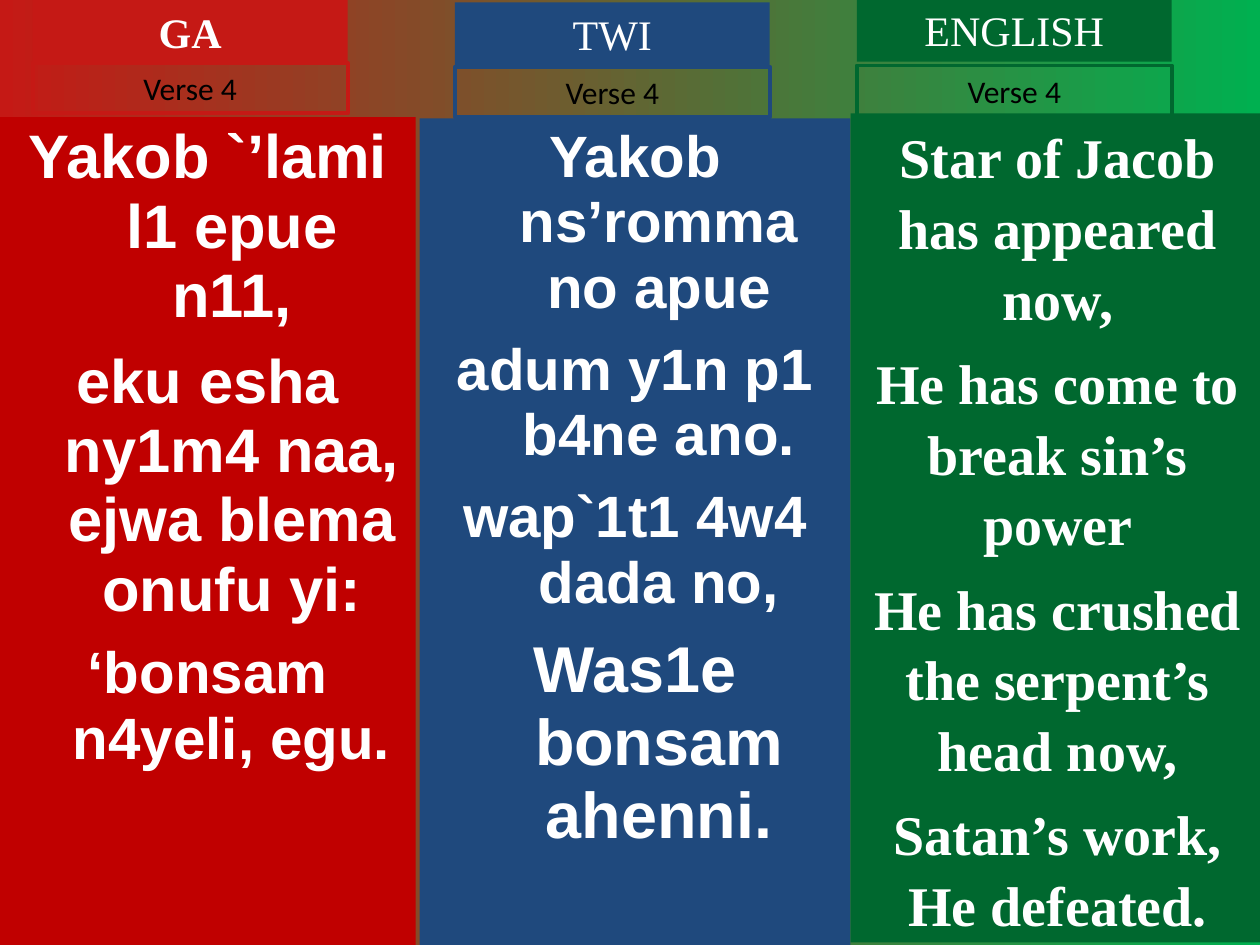
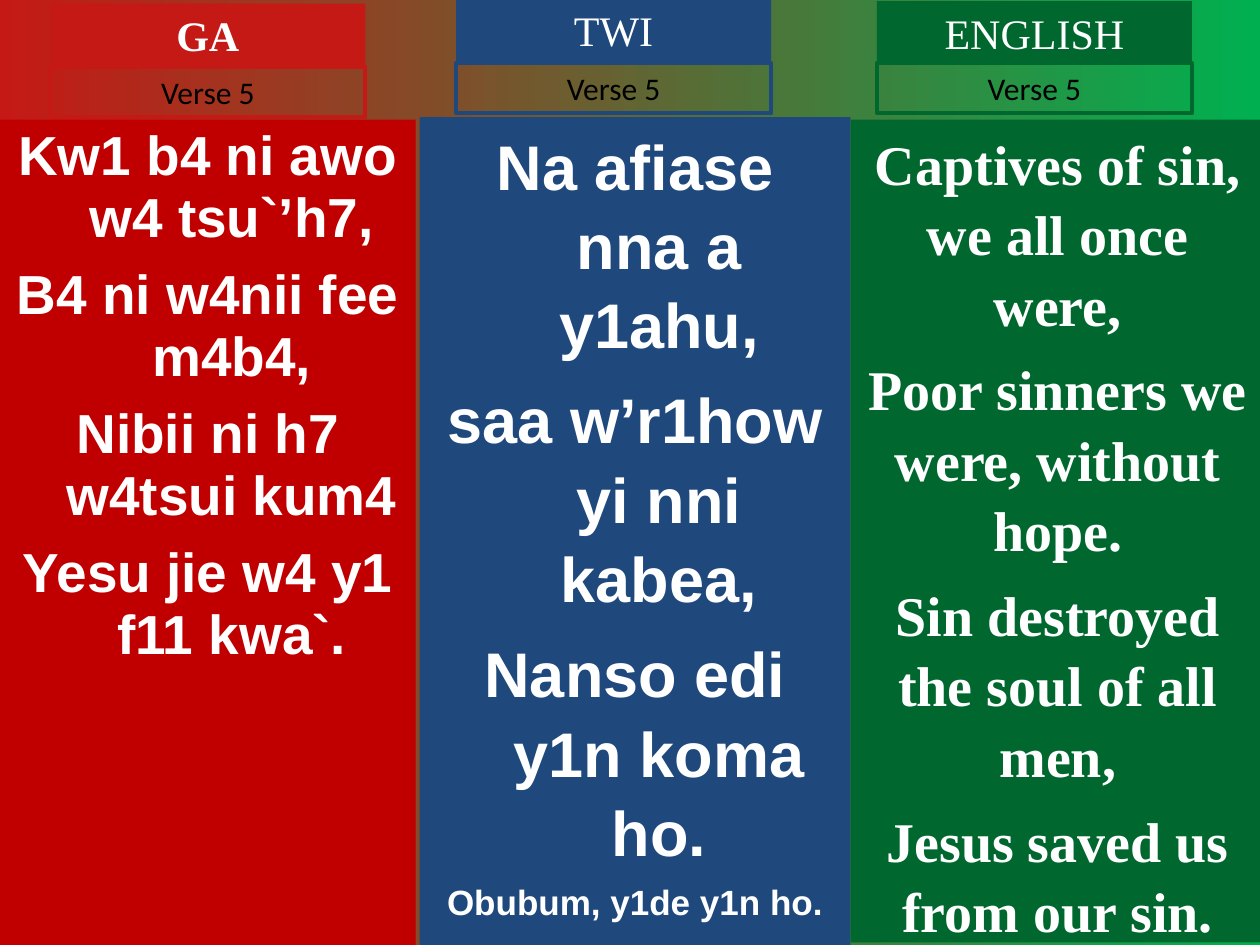
from dataclasses import dataclass

from pptx import Presentation
from pptx.dml.color import RGBColor
from pptx.enum.shapes import MSO_SHAPE
from pptx.enum.text import MSO_ANCHOR, PP_ALIGN
from pptx.util import Inches, Pt

RECTANGLE = MSO_SHAPE.RECTANGLE
CENTER = PP_ALIGN.CENTER
TOP = MSO_ANCHOR.TOP

SANS, SERIF, LABEL_FONT = "Arial", "Times New Roman", "Calibri"
WHITE, BLACK = "FFFFFF", "000000"
BACKGROUND = ("C51915", "00B050")
TAB_WIDTH, TAB_HEIGHT, LABEL_HEIGHT = 2.5, 0.5, 0.4
BLANK_LAYOUT = 6


@dataclass(frozen=True)
class Language:
    name: str
    left: float
    width: float
    body_color: str
    tab_color: str
    font: str
    hanging: float = 0
    bold_name: bool = False


@dataclass(frozen=True)
class Line:
    text: str
    size: float
    space_before: float


@dataclass(frozen=True)
class Column:
    language: Language
    body_top: float
    body_bottom: float
    tab_left: float
    tab_top: float
    label_top: float
    line_spacing: float
    lines: list[Line]


GA = Language("GA", 0, 3.3, "C00000", "C51915", SANS, 0.38, True)
TWI = Language("TWI", 3.33, 3.42, "1F497D", "1F497D", SANS, 0.38)
ENGLISH = Language("ENGLISH", 6.75, 3.29, "00682F", "00682F", SERIF)


def same_style(size: float, space_before: float, *texts: str) -> list[Line]:
    return [Line(text, size, space_before) for text in texts]


VERSES = {
    "Verse 4": [
        Column(GA, 0.93, 7.5, 0.26, 0, 0.5, 0.94, [
            *same_style(35.1, 9.5, "Yakob `’lami l1 epue n11,",
                        "eku esha ny1m4 naa, ejwa blema onufu yi:"),
            Line("‘bonsam n4yeli, egu.", 33.3, 9),
        ]),
        Column(TWI, 0.94, 7.5, 3.61, 0.02, 0.53, 0.94, [
            *same_style(33.3, 9, "Yakob ns’romma no apue",
                        "adum y1n p1 b4ne ano.",
                        "wap`1t1 4w4 dada no,"),
            Line("Was1e bonsam ahenni.", 37, 10),
        ]),
        Column(ENGLISH, 0.9, 7.48, 6.8, -0.01, 0.52, 1.05, same_style(
            32, 8, "Star of Jacob has appeared now,",
            "He has come to break sin’s power",
            "He has crushed the serpent’s head now,",
            "Satan’s work, He defeated.")),
    ],
    "Verse 5": [
        Column(GA, 0.95, 7.5, 0.4, 0.03, 0.53, 0.94, same_style(
            31.4, 8.5, "Kw1 b4 ni awo w4 tsu`’h7,",
            "B4 ni w4nii fee m4b4,",
            "Nibii ni h7 w4tsui kum4",
            "Yesu jie w4 y1 f11 kwa`.")),
        Column(TWI, 0.93, 7.5, 3.62, -0.01, 0.5, 1.05, [
            *same_style(36, 9, "Na afiase nna a y1ahu,",
                        "saa w’r1how yi nni kabea,",
                        "Nanso edi y1n koma ho."),
            Line("Obubum, y1de y1n ho.", 20, 5),
        ]),
        Column(ENGLISH, 0.95, 7.48, 6.96, 0.01, 0.5, 1.05, same_style(
            32, 8, "Captives of sin, we all once were,",
            "Poor sinners we were, without hope.",
            "Sin destroyed the soul of all men,",
            "Jesus saved us from our sin.")),
    ],
}


def rgb(color: str) -> RGBColor:
    return RGBColor.from_string(color)


def add_box(page, left: float, top: float, width: float, height: float,
            fill: str | None = None, outline: str | None = None):
    box = page.shapes.add_shape(RECTANGLE, Inches(left), Inches(top),
                                Inches(width), Inches(height))
    box.shadow.inherit = False
    if fill:
        box.fill.solid()
        box.fill.fore_color.rgb = rgb(fill)
    else:
        box.fill.background()
    if outline:
        box.line.color.rgb = rgb(outline)
        box.line.width = Pt(2.25)
    else:
        box.line.fill.background()
    box.text_frame.word_wrap = True
    box.text_frame.vertical_anchor = TOP
    return box


def write(para, text: str, font: str, size: float, color: str, bold: bool) -> None:
    para.text = text
    para.alignment = CENTER
    for span in para.runs:
        span.font.name = font
        span.font.size = Pt(size)
        span.font.color.rgb = rgb(color)
        span.font.bold = bold


def add_lyrics(page, column: Column) -> None:
    language = column.language
    box = add_box(page, language.left, column.body_top, language.width,
                  column.body_bottom - column.body_top, fill=language.body_color)
    frame = box.text_frame
    for index, line in enumerate(column.lines):
        para = frame.add_paragraph() if index else frame.paragraphs[0]
        write(para, line.text, language.font, line.size, WHITE, True)
        para.line_spacing = column.line_spacing
        para.space_before = Pt(line.space_before if index else 0)
        if language.hanging:
            properties = para._p.get_or_add_pPr()
            properties.set("marL", str(Inches(language.hanging)))
            properties.set("indent", str(-Inches(language.hanging)))


def add_heading(page, column: Column, verse: str) -> None:
    """Draw the language tab and the outlined verse label under it."""
    language = column.language
    tab = add_box(page, column.tab_left, column.tab_top, TAB_WIDTH, TAB_HEIGHT,
                  fill=language.tab_color)
    write(tab.text_frame.paragraphs[0], language.name, SERIF, 24, WHITE,
          language.bold_name)
    label = add_box(page, column.tab_left, column.label_top, TAB_WIDTH,
                    LABEL_HEIGHT, outline=language.tab_color)
    write(label.text_frame.paragraphs[0], verse, LABEL_FONT, 18, BLACK, False)


def paint_background(page) -> None:
    fill = page.background.fill
    fill.gradient()
    fill.gradient_angle = 0
    for stop, color in zip(fill.gradient_stops, BACKGROUND):
        stop.color.rgb = rgb(color)


def main() -> None:
    deck = Presentation()
    deck.slide_width, deck.slide_height = Inches(10), Inches(7.5)
    for verse, columns in VERSES.items():
        page = deck.slides.add_slide(deck.slide_layouts[BLANK_LAYOUT])
        paint_background(page)
        for column in columns:
            add_lyrics(page, column)
            add_heading(page, column, verse)
    deck.save("out.pptx")


if __name__ == "__main__":
    main()
